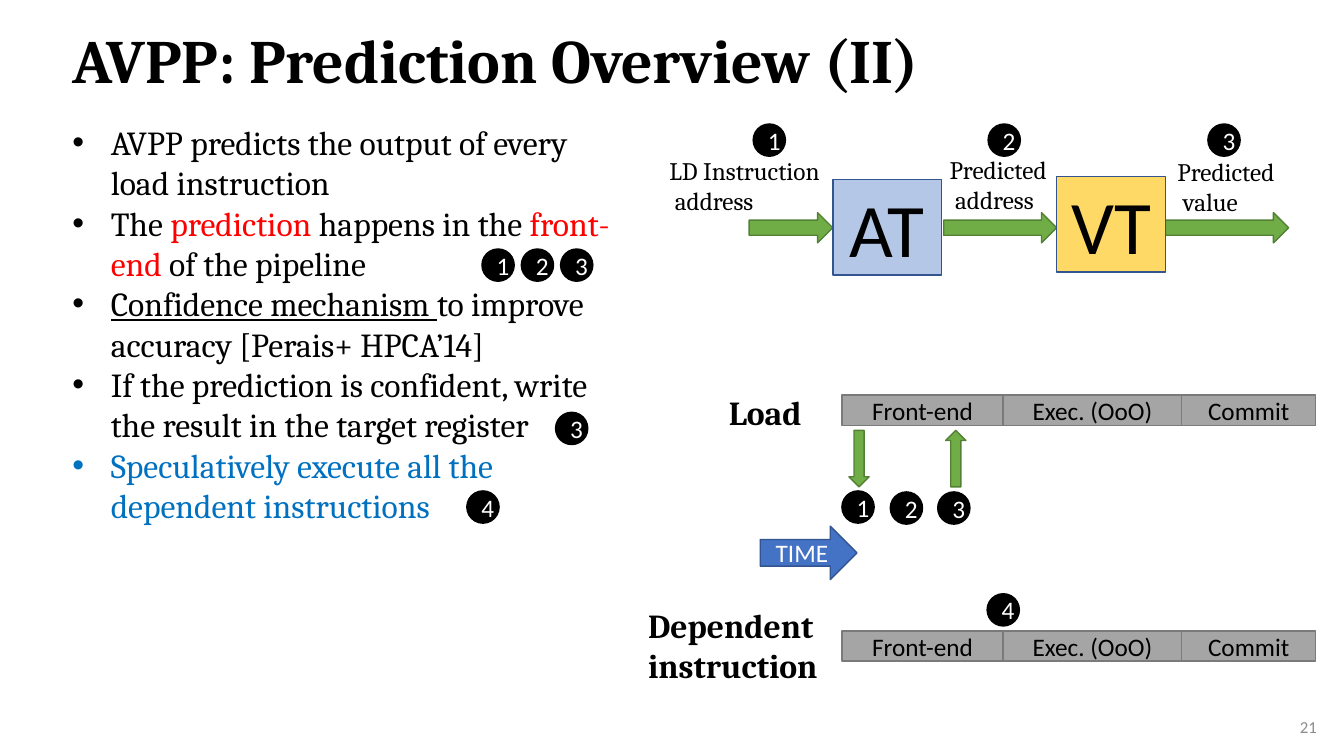
from dataclasses import dataclass
from lxml.etree import SubElement
from pptx import Presentation
from pptx.dml.color import RGBColor
from pptx.enum.shapes import MSO_SHAPE
from pptx.enum.text import MSO_ANCHOR, MSO_AUTO_SIZE, PP_ALIGN
from pptx.oxml.ns import qn
from pptx.util import Pt

SCALE = 9144


@dataclass(frozen=True)
class Theme:
    serif: str = "Cambria"
    sans: str = "Calibri"
    black: str = "000000"
    white: str = "FFFFFF"
    red: str = "FF0000"
    blue: str = "0070C0"
    pale: str = "B4C7E7"
    gold: str = "FFD966"
    royal: str = "4472C4"
    navy: str = "325491"
    green: str = "70AD47"
    moss: str = "538035"
    gray: str = "A5A5A5"
    slate: str = "7A7A7A"
    faint: str = "8C8C8C"
    title: int = 44
    huge: int = 54
    body: int = 24
    label: int = 18
    small: int = 12


class Deck:
    def __init__(self, theme):
        self.theme = theme
        self.show = Presentation()
        self.show.slide_width = 1333 * SCALE
        self.show.slide_height = 750 * SCALE
        self.slide = self.show.slides.add_slide(self.show.slide_layouts[6])

    def style(self, font, size, color, face, bold=False):
        font.size = Pt(size)
        font.name = face
        font.bold = bold
        font.color.rgb = RGBColor.from_string(color)

    def text(self, box, words, size, color=None, face=None, bold=False,
             align=PP_ALIGN.LEFT, anchor=MSO_ANCHOR.TOP, wrap=True):
        t = self.theme
        frame = self.slide.shapes.add_textbox(*[v * SCALE for v in box]).text_frame
        frame.text = words
        frame.word_wrap = wrap
        frame.vertical_anchor = anchor
        if not wrap:
            frame.auto_size = MSO_AUTO_SIZE.SHAPE_TO_FIT_TEXT
        for para in frame.paragraphs:
            para.alignment = align
            for run in para.runs:
                self.style(run.font, size, color or t.black, face or t.serif, bold)
        return frame

    def shape(self, kind, box, fill, line, words="", size=None, color=None, host=None):
        t = self.theme
        item = (host or self.slide).shapes.add_shape(kind, *[v * SCALE for v in box])
        item.shadow.inherit = False
        item.fill.solid()
        item.fill.fore_color.rgb = RGBColor.from_string(fill)
        item.line.color.rgb = RGBColor.from_string(line)
        item.line.width = Pt(1)
        if words:
            frame = item.text_frame
            frame.text = words
            frame.vertical_anchor = MSO_ANCHOR.MIDDLE
            para = frame.paragraphs[0]
            para.alignment = PP_ALIGN.CENTER
            self.style(para.runs[0].font, size or t.label, color or t.black, t.sans)
        return item

    def badge(self, num, left, top):
        t = self.theme
        self.shape(MSO_SHAPE.FLOWCHART_CONNECTOR, (left, top, 32, 32),
                   t.black, t.black, str(num), color=t.white)

    def arrow(self, box, turn=0):
        t = self.theme
        item = self.shape(MSO_SHAPE.RIGHT_ARROW, box, t.green, t.moss)
        item.rotation = turn

    def stages(self, top):
        t = self.theme
        group = self.slide.shapes.add_group_shape()
        left = 835
        for name, width in (("Front-end", 160), ("Exec. (OoO)", 177), ("Commit", 133)):
            self.shape(MSO_SHAPE.RECTANGLE, (left, top, width, 30),
                       t.gray, t.slate, name, host=group)
            left += width

    def bullets(self, box, items):
        t = self.theme
        frame = self.text(box, "", t.body)
        for i, parts in enumerate(items):
            para = frame.add_paragraph() if i else frame.paragraphs[0]
            props = para._p.get_or_add_pPr()
            props.set("marL", str(38 * SCALE))
            props.set("indent", str(-38 * SCALE))
            SubElement(props, qn("a:buFont")).set("typeface", "Arial")
            SubElement(props, qn("a:buChar")).set("char", "•")
            for words, color, under in parts:
                run = para.add_run()
                run.text = words
                self.style(run.font, t.body, color, t.serif)
                run.font.underline = under


def main():
    t = Theme()
    deck = Deck(t)
    title = deck.text((62, 23, 1271, 81), "AVPP: Prediction Overview (II)",
                      t.title, bold=True, anchor=MSO_ANCHOR.MIDDLE)
    title.paragraphs[0].line_spacing = 0.9
    deck.text((1269, 701, 47, 40), "21", t.small, t.faint, t.sans,
              align=PP_ALIGN.RIGHT, anchor=MSO_ANCHOR.MIDDLE)

    deck.bullets((62, 116, 562, 454), [
        [("AVPP predicts the output of every load instruction", t.black, False)],
        [("The ", t.black, False), ("prediction", t.red, False),
         (" happens in the ", t.black, False), ("front-end", t.red, False),
         (" of the pipeline", t.black, False)],
        [("Confidence mechanism ", t.black, True),
         ("to improve accuracy [Perais+ HPCA’14]", t.black, False)],
        [("If the prediction is confident, write the result in the target register",
          t.black, False)],
        [("Speculatively execute all the dependent instructions", t.blue, False)],
    ])

    for box in ((743, 211, 83, 30), (936, 211, 112, 30), (1156, 211, 122, 30)):
        deck.arrow(box)
    for name, left, top, fill in (("AT", 826, 178, t.pale), ("VT", 1048, 175, t.gold)):
        deck.shape(MSO_SHAPE.RECTANGLE, (left, top, 108, 95), fill, t.navy, name, t.huge)
    for words, box in (("LD Instruction\n address", (654, 149, 176, 71)),
                       ("Predicted\n address", (932, 148, 123, 71)),
                       ("Predicted\n value", (1158, 150, 123, 71))):
        deck.text(box, words, t.label, wrap=False)

    for words, box in (("Load", (713, 384, 96, 50)),
                       ("Dependent\ninstruction", (633, 595, 193, 91))):
        deck.text(box, words, t.body, bold=True, wrap=False)
    for top in (392, 626):
        deck.stages(top)
    deck.arrow((824, 445, 56, 20), 90)
    deck.arrow((920, 445, 56, 20), 270)
    deck.shape(MSO_SHAPE.RIGHT_ARROW, (754, 522, 96, 53), t.royal, t.navy,
               "TIME", color=t.white)

    for num, left, top in ((1, 747, 123), (2, 980, 123), (3, 1198, 123),
                           (1, 478, 247), (2, 517, 247), (3, 556, 247),
                           (3, 551, 409), (4, 463, 487),
                           (1, 835, 487), (2, 883, 488), (3, 930, 488),
                           (4, 979, 589)):
        deck.badge(num, left, top)
    deck.show.save("out.pptx")


if __name__ == "__main__":
    main()
